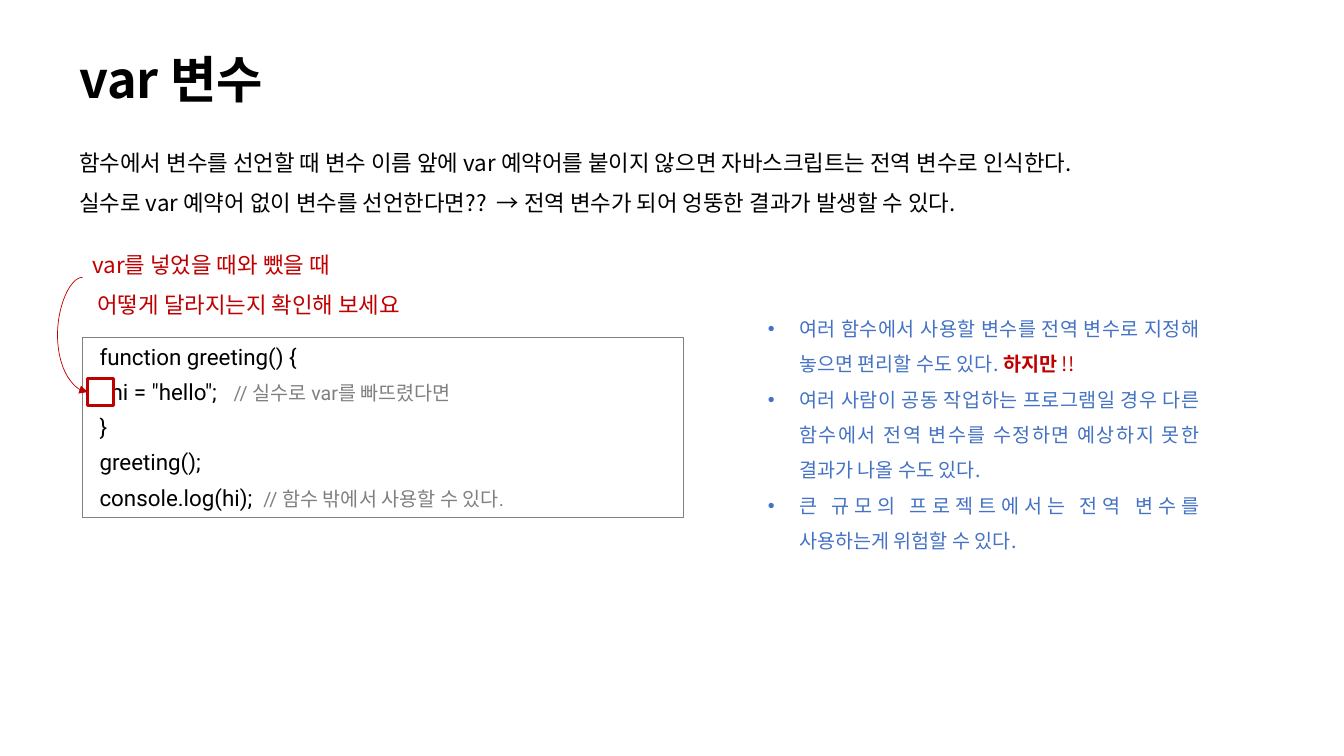
from lxml.etree import SubElement
from pptx import Presentation
from pptx.dml.color import RGBColor
from pptx.enum.shapes import MSO_CONNECTOR, MSO_SHAPE
from pptx.enum.text import MSO_ANCHOR, PP_ALIGN
from pptx.oxml.ns import qn
from pptx.util import Cm, Pt

BLACK = RGBColor(0x00, 0x00, 0x00)
GRAY = RGBColor(0x80, 0x80, 0x80)
RED = RGBColor(0xC0, 0x00, 0x00)
BLUE = RGBColor(0x44, 0x72, 0xC4)
KOREAN_FONT = "Noto Sans CJK KR"
CODE_FONT = "Roboto"


def write_paragraphs(frame, lines, size, color, font=KOREAN_FONT, spacing=1.5, bold=False, bullet=False):
    """Fill a frame; each line is a list of (text, run format) pairs."""
    frame.word_wrap = True
    for index, line in enumerate(lines):
        paragraph = frame.paragraphs[0] if index == 0 else frame.add_paragraph()
        paragraph.line_spacing = spacing
        paragraph.alignment = PP_ALIGN.JUSTIFY if bullet else PP_ALIGN.LEFT
        properties = paragraph._p.get_or_add_pPr()
        if bullet:
            properties.set("marL", str(Cm(0.79)))
            properties.set("indent", str(-Cm(0.79)))
            SubElement(properties, qn("a:buFont"), typeface="Arial")
            SubElement(properties, qn("a:buChar"), char="•")
        paragraph.font.size = Pt(size)
        paragraph.font.bold = bold
        paragraph.font.color.rgb = color
        paragraph.font.name = font
        SubElement(properties.find(qn("a:defRPr")), qn("a:ea"), typeface=KOREAN_FONT)
        for text, run_format in line:
            run = paragraph.add_run()
            run.text = text
            if "size" in run_format:
                run.font.size = Pt(run_format["size"])
            if "color" in run_format:
                run.font.color.rgb = run_format["color"]
            if "bold" in run_format:
                run.font.bold = run_format["bold"]


def add_outline(left, top, width, height, color, weight):
    shape = slide.shapes.add_shape(MSO_SHAPE.RECTANGLE, Cm(left), Cm(top), Cm(width), Cm(height))
    shape.shadow.inherit = False
    shape.fill.background()
    shape.line.color.rgb = color
    shape.line.width = Pt(weight)
    return shape


presentation = Presentation()
presentation.slide_width = Cm(33.87)
presentation.slide_height = Cm(19.05)
slide = presentation.slides.add_slide(presentation.slide_layouts[6])

# Title and introduction
title = slide.shapes.add_textbox(Cm(1.75), Cm(0.89), Cm(24.74), Cm(2.34)).text_frame
title.vertical_anchor = MSO_ANCHOR.MIDDLE
write_paragraphs(title, [[("var 변수", {})]], 36, BLACK, spacing=0.9, bold=True)

introduction = slide.shapes.add_textbox(Cm(1.75), Cm(3.3), Cm(28.96), Cm(2.18)).text_frame
write_paragraphs(introduction, [
    [("함수에서 변수를 선언할 때 변수 이름 앞에 var 예약어를 붙이지 않으면 자바스크립트는 전역 변수로 인식한다.", {})],
    [("실수로 var 예약어 없이 변수를 선언한다면??  → 전역 변수가 되어 엉뚱한 결과가 발생할 수 있다.", {})],
], 16, BLACK)

# Code example
comment = {"size": 14, "color": GRAY}
code = add_outline(2.08, 8.51, 15.14, 4.52, GRAY, 0.75).text_frame
code.vertical_anchor = MSO_ANCHOR.TOP
code.margin_left = Cm(0.43)
write_paragraphs(code, [
    [("function greeting() {", {})],
    [('  hi = "hello";   ', {}), ("// 실수로 var를 빠뜨렸다면", comment)],
    [("}", {})],
    [("greeting();", {})],
    [("console.log(hi);  ", {}), ("// 함수 밖에서 사용할 수 있다.", comment)],
], 16, BLACK, font=CODE_FONT, spacing=1.0)
for index, paragraph in enumerate(code.paragraphs):
    paragraph.space_before = Pt(3 if index else 0)
    paragraph.space_after = Pt(3)

# Marker for the missing keyword, with its hint
add_outline(2.21, 9.53, 0.66, 0.69, RED, 2.25)
hint = slide.shapes.add_textbox(Cm(2.08), Cm(5.87), Cm(9.7), Cm(2.18)).text_frame
write_paragraphs(hint, [
    [("var를 넣었을 때와 뺐을 때", {})],
    [(" 어떻게 달라지는지 확인해 보세요", {})],
], 16, RED)

arrow = slide.shapes.add_connector(MSO_CONNECTOR.CURVE, Cm(2.08), Cm(6.99), Cm(2.21), Cm(9.88))
arrow.line.color.rgb = RED
arrow.line.width = Pt(0.5)
SubElement(arrow.line._get_or_add_ln(), qn("a:tailEnd"), type="triangle")
SubElement(arrow._element.spPr, qn("a:effectLst"))
# Bend the curve out to the left of both ends
adjustments = arrow._element.spPr.prstGeom.get_or_add_avLst()
SubElement(adjustments, qn("a:gd"), name="adj1", fmla="val -485000")

# Cautions about global variables
cautions = slide.shapes.add_textbox(Cm(19.1), Cm(7.57), Cm(11.38), Cm(6.43)).text_frame
write_paragraphs(cautions, [
    [("여러 함수에서 사용할 변수를 전역 변수로 지정해 놓으면 편리할 수도 있다. ", {}),
     ("하지만 ", {"color": RED, "bold": True}), ("!!", {"color": RED})],
    [("여러 사람이 공동 작업하는 프로그램일 경우 다른 함수에서 전역 변수를 수정하면 예상하지 못한 결과가 나올 수도 있다.", {})],
    [("큰 규모의 프로젝트에서는 전역 변수를 사용하는게 위험할 수 있다.", {})],
], 14, BLUE, bullet=True)

presentation.save("out.pptx")
